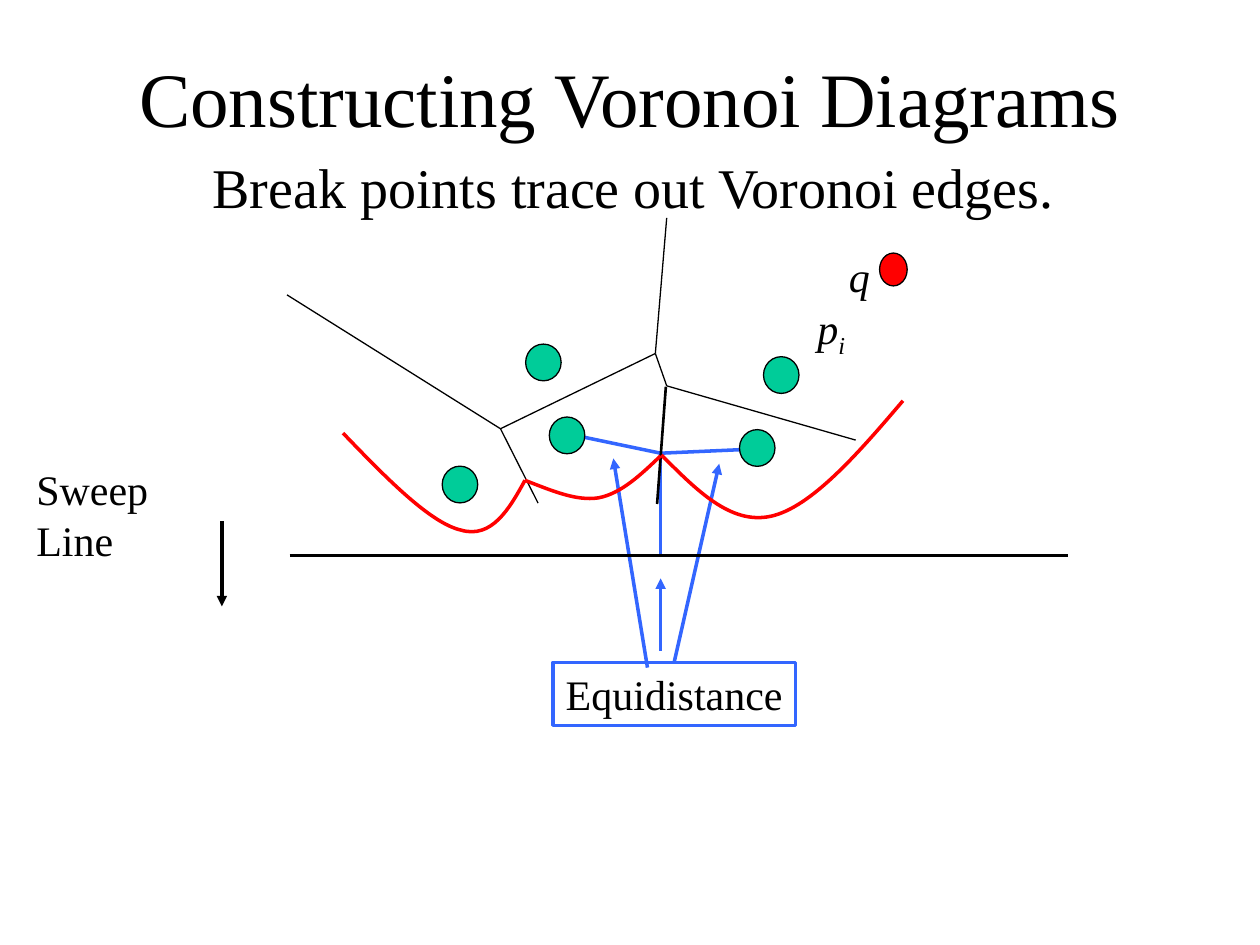
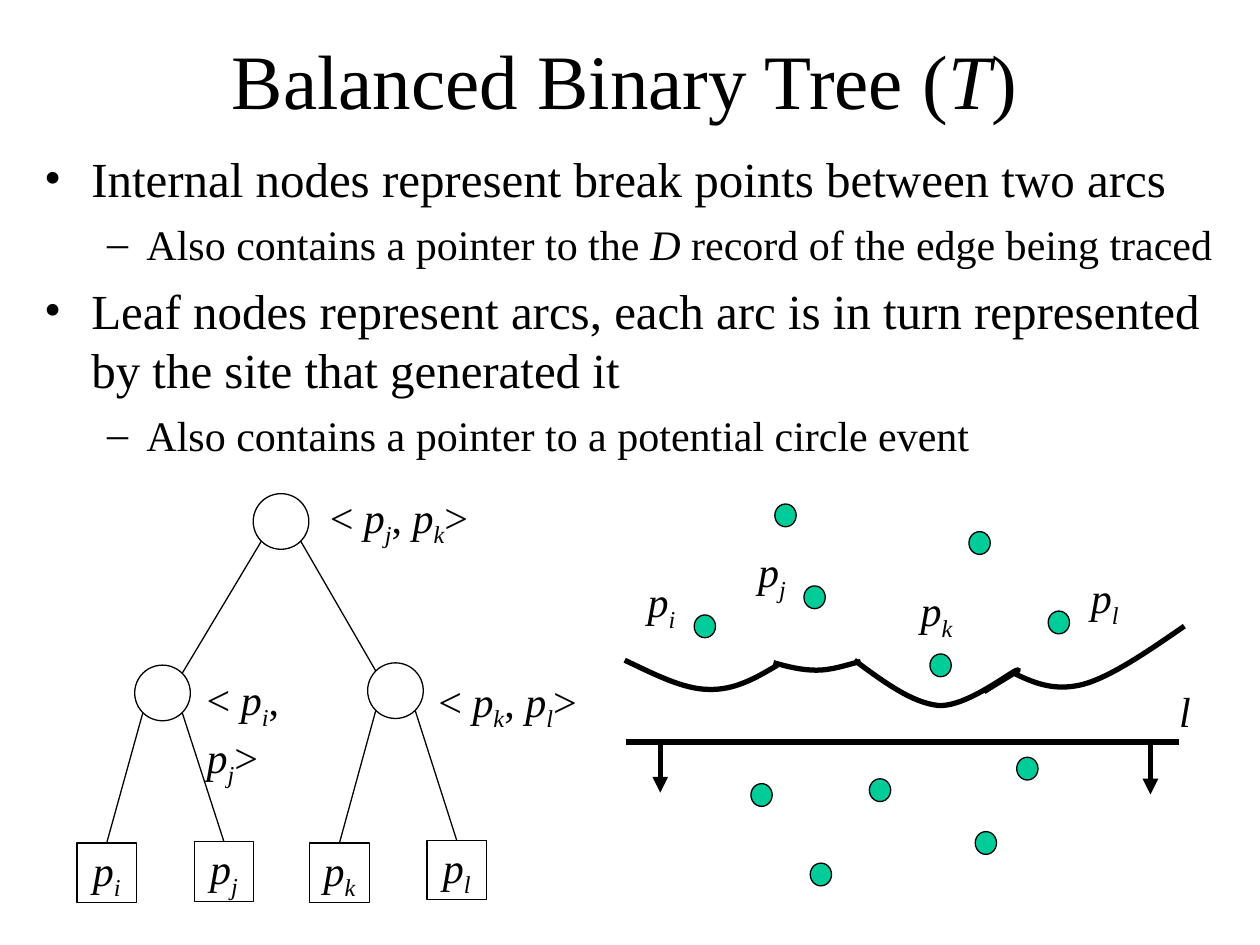
from lxml.etree import SubElement
from pptx import Presentation
from pptx.dml.color import RGBColor
from pptx.enum.shapes import MSO_CONNECTOR, MSO_SHAPE
from pptx.enum.text import MSO_ANCHOR, MSO_AUTO_SIZE, PP_ALIGN
from pptx.oxml.ns import qn
from pptx.util import Pt

FONT = "Times New Roman"
COLORS = {"ink": "000000", "blue": "3366FF", "site": "00CC99", "red": "FF0000"}
COLORS = {name: RGBColor.from_string(value) for name, value in COLORS.items()}


def write_spans(para, size, *spans):
    """Add (text, style) runs; the style is "", "italic" or "sub" (italic subscript)."""
    for text, style in spans:
        span = para.add_run()
        span.text = text
        span.font.name = FONT
        span.font.size = Pt(size)
        span.font.color.rgb = COLORS["ink"]
        span.font.italic = style != ""
        if style == "sub":
            span.font._element.set("baseline", "-25000")


def draw_line(page, start, end, color="ink", width=0.75, arrow=False):
    line = page.shapes.add_connector(
        MSO_CONNECTOR.STRAIGHT, *(Pt(value) for value in (*start, *end)))
    line.line.color.rgb = COLORS[color]
    line.line.width = Pt(width)
    if arrow:
        SubElement(line.line._get_or_add_ln(), qn("a:tailEnd"), type="triangle")
    SubElement(line._element.spPr, qn("a:effectLst"))
    return line


deck = Presentation()
deck.slide_width, deck.slide_height = Pt(720), Pt(540)
voronoi, tree = [deck.slides.add_slide(deck.slide_layouts[1]) for _ in range(2)]

# Titles and body text
titles = [
    (voronoi, 54, 10, [("Constructing Voronoi Diagrams", "")]),
    (tree, 51, 0, [("Balanced Binary Tree (", ""), ("T", "italic"), (")", "")]),
]
for page, left, top, spans in titles:
    title = page.shapes.title
    title.left, title.top, title.width, title.height = Pt(left), Pt(top), Pt(612), Pt(90)
    title.text_frame.auto_size = MSO_AUTO_SIZE.NONE
    title.text_frame.vertical_anchor = MSO_ANCHOR.MIDDLE
    title.text_frame.paragraphs[0].alignment = PP_ALIGN.CENTER
    write_spans(title.text_frame.paragraphs[0], 44, *spans)

# Each level: size, left margin, first-line indent, space before, bullet
levels = {
    "caption": (32, 27, -27, 0, None),
    "point": (28, 27, -27, 7, "•"),
    "detail": (24, 58.5, -22.5, 6, "–"),
}
bodies = [
    (voronoi, (56, 83.5, 612, 53.5), [
        ("caption", [("Break points trace out Voronoi edges.", "")]),
    ]),
    (tree, (18, 81.5, 689, 324), [
        ("point", [("Internal nodes represent break points between two arcs", "")]),
        ("detail", [("Also contains a pointer to the ", ""), ("D ", "italic"),
                    ("record of the edge being traced", "")]),
        ("point", [("Leaf nodes represent arcs, each arc is in turn represented "
                    "by the site that generated it", "")]),
        ("detail", [("Also contains a pointer to a potential circle event", "")]),
    ]),
]
for page, frame, items in bodies:
    body = page.placeholders[1]
    body.left, body.top, body.width, body.height = (Pt(value) for value in frame)
    body.text_frame.auto_size = MSO_AUTO_SIZE.NONE
    for index, (level, spans) in enumerate(items):
        size, margin, indent, before, bullet = levels[level]
        para = body.text_frame.add_paragraph() if index else body.text_frame.paragraphs[0]
        para.level = 1 if level == "detail" else 0
        properties = para._p.get_or_add_pPr()
        properties.set("marL", str(Pt(margin)))
        properties.set("indent", str(Pt(indent)))
        if bullet:
            SubElement(properties, qn("a:buFont"), typeface=FONT)
            SubElement(properties, qn("a:buChar"), char=bullet)
        else:
            SubElement(properties, qn("a:buNone"))
            para.alignment = PP_ALIGN.CENTER
        para.space_before = Pt(before if index else 0)
        write_spans(para, size, *spans)

# Voronoi page: equal distances from a break point
break_point = (377.5, 259)
for end in [(322.5, 247.5), (434, 256.5), (377.5, 317)]:
    draw_line(voronoi, end, break_point, "blue", 2)
equidistance = voronoi.shapes.add_shape(
    MSO_SHAPE.RECTANGLE, Pt(316), Pt(378.5), Pt(138.5), Pt(36))
equidistance.shadow.inherit = False
equidistance.fill.background()
equidistance.line.color.rgb = COLORS["blue"]
equidistance.line.width = Pt(2)
equidistance.text_frame.word_wrap = False
equidistance.text_frame.paragraphs[0].alignment = PP_ALIGN.CENTER
write_spans(equidistance.text_frame.paragraphs[0], 24, ("Equidistance", ""))
draw_line(voronoi, (370, 381.5), (350.5, 262), "blue", 2, arrow=True)
draw_line(voronoi, (377.5, 372), (377.5, 330.5), "blue", 2, arrow=True)
pointer = draw_line(voronoi, (385, 378.5), (411, 265), "blue", 2, arrow=True)
pointer.begin_connect(equidistance, 0)

# Voronoi page: sweep line and diagram edges
draw_line(voronoi, (165.5, 317.5), (610.5, 317.5), width=2)
draw_line(voronoi, (126.8, 298), (126.8, 346.5), width=2, arrow=True)
left_vertex, top_vertex, right_vertex = (286, 245), (374.5, 202), (381, 220.5)
voronoi_edges = [
    (right_vertex, top_vertex), ((164, 168.5), left_vertex),
    (left_vertex, (307.5, 287.5)), (left_vertex, top_vertex),
    (right_vertex, (489, 251.5)), (top_vertex, (381, 124.5)),
]
for start, end in voronoi_edges:
    draw_line(voronoi, start, end)
draw_line(voronoi, (375.5, 288), (380.5, 221), width=1.5)

# Tree page: nodes, leaves and branches
node_size, leaf_size = 31.8, 34
reach = node_size / 2 * 0.707  # branches meet a node on its diagonals
root, left_node, right_node = (160.6, 298), (92.9, 396), (226, 394.7)
for x, y in (root, left_node, right_node):
    node = tree.shapes.add_shape(
        MSO_SHAPE.OVAL, Pt(x - node_size / 2), Pt(y - node_size / 2),
        Pt(node_size), Pt(node_size))
    node.shadow.inherit = False
    node.fill.background()
    node.line.color.rgb = COLORS["ink"]
    node.line.width = Pt(0.75)
for (x, y), side in [(left_node, -1), (right_node, 1)]:
    draw_line(tree, (root[0] + side * reach, root[1] + reach),
              (x - side * reach, y - reach))
leaves = [("i", 44, 481.7, left_node, -1), ("j", 111, 481, left_node, 1),
          ("k", 177, 481.7, right_node, -1), ("l", 244, 480.2, right_node, 1)]
for letter, left, top, (x, y), side in leaves:
    leaf = tree.shapes.add_shape(
        MSO_SHAPE.RECTANGLE, Pt(left), Pt(top), Pt(leaf_size), Pt(leaf_size))
    leaf.shadow.inherit = False
    leaf.fill.background()
    leaf.line.color.rgb = COLORS["ink"]
    leaf.line.width = Pt(0.75)
    leaf.text_frame.word_wrap = False
    leaf.text_frame.vertical_anchor = MSO_ANCHOR.MIDDLE
    leaf.text_frame.paragraphs[0].alignment = PP_ALIGN.CENTER
    write_spans(leaf.text_frame.paragraphs[0], 24, ("p", "italic"), (letter, "sub"))
    branch = draw_line(tree, (x + side * reach, y + reach), (left + leaf_size / 2, top))
    branch.end_connect(leaf, 0)

# Tree page: sweep line
draw_line(tree, (358, 424), (674, 424), width=3)
draw_line(tree, (377.3, 425), (377.3, 453), width=3, arrow=True)
draw_line(tree, (657.4, 426), (657.4, 454), width=3, arrow=True)

# Sites on both pages
site_groups = [
    (voronoi, "site", 20.3, 21, [
        (422.6, 245.5), (436.3, 203.8), (252.7, 266.4), (313.9, 238.3), (300.4, 196.6)]),
    (voronoi, "red", 15.8, 18.8, [(502.6, 144.6)]),
    (tree, "site", 12.2, 13, [
        (429.1, 447.8), (496.8, 445), (557.3, 475.2), (581, 432.7), (463, 493.2),
        (531.4, 373.7), (599, 349.2), (553.7, 303.8), (459.4, 334.8), (442.8, 288),
        (396.7, 351.4)]),
]
for page, color, width, height, corners in site_groups:
    for left, top in corners:
        site = page.shapes.add_shape(
            MSO_SHAPE.OVAL, Pt(left), Pt(top), Pt(width), Pt(height))
        site.shadow.inherit = False
        site.fill.solid()
        site.fill.fore_color.rgb = COLORS[color]
        site.line.color.rgb = COLORS["ink"]
        site.line.width = Pt(0.75)

# Labels on both pages
labels = [
    (voronoi, 13.7, 261.4, 128, 36, [("Sweep Line", "")]),
    (voronoi, 478, 139.7, 26, 36, [("q", "italic")]),
    (tree, 666.7, 388, 21, 36, [("l", "italic")]),
]
for page, letter, left, top, width in [
        (voronoi, "i", 460, 169.2, 30.2), (tree, "i", 363, 325.4, 30.2),
        (tree, "j", 426.2, 308.2, 30.2), (tree, "k", 519, 330.5, 32.4),
        (tree, "l", 616.3, 323.3, 30.2)]:
    labels.append((page, left, top, width, 40.3, [("p", "italic"), (letter, "sub")]))
for first, second, left, top, width in [
        ("j", "k", 181.4, 277.2, 93.6), ("i", "j", 111, 381.6, 90.7),
        ("k", "l", 243.4, 382.3, 93.6)]:
    labels.append((tree, left, top, width, 40.3, [
        ("< ", ""), ("p", "italic"), (first, "sub"), (", ", ""),
        ("p", "italic"), (second, "sub"), (">", "")]))
for page, left, top, width, height, spans in labels:
    box = page.shapes.add_textbox(Pt(left), Pt(top), Pt(width), Pt(height))
    box.text_frame.word_wrap = False
    box.text_frame.auto_size = MSO_AUTO_SIZE.SHAPE_TO_FIT_TEXT
    write_spans(box.text_frame.paragraphs[0], 24, *spans)

# Beach line arcs: a start point, then three Bézier points per segment
arc_groups = [
    (voronoi, "red", 2, [
        [(378, 260), (398, 280), (417.5, 300), (440.5, 295),
         (463.5, 290), (490.5, 259), (516, 229)],
        [(196, 247.5), (221, 273.5), (246, 299), (263.5, 303),
         (281, 308), (291, 291), (300, 274.5)],
        [(300, 274.5), (314.5, 280), (329, 286.5), (342, 284.5),
         (355, 282), (366, 271.5), (377.5, 260.5)],
    ]),
    (tree, "ink", 3, [
        [(357, 377.3), (373.7, 385.2), (390.2, 393.8), (404.6, 394),
         (419.8, 394.6), (432, 387.4), (444.2, 380.2)],
        [(442, 378.7), (450, 381), (458, 383), (466.6, 383),
         (475.2, 383), (483, 380.2), (491.8, 378)],
        [(488.2, 377.3), (504.7, 389.5), (521.3, 401.8), (536.4, 403.2),
         (552.2, 404), (576.7, 384.5), (581, 383),
         (585.4, 381.6), (573.8, 388), (562.3, 395.3)],
        [(580.3, 385.2), (591, 390.2), (602.6, 395.3), (619.2, 391),
         (635, 386.6), (656, 372.2), (676.8, 357.8)],
    ]),
]
for page, color, width, arcs in arc_groups:
    for points in arcs:
        start, *rest = [(Pt(x), Pt(y)) for x, y in points]
        builder = page.shapes.build_freeform(*start)
        builder.add_line_segments(rest, close=False)
        arc = builder.convert_to_shape()
        segments = iter(list(arc._element.iter(qn("a:lnTo"))))
        for curve, *others in zip(segments, segments, segments):
            curve.tag = qn("a:cubicBezTo")
            for other in others:
                curve.append(other[0])
                other.getparent().remove(other)
        arc.shadow.inherit = False
        arc.fill.background()
        arc.line.color.rgb = COLORS[color]
        arc.line.width = Pt(width)

deck.save("out.pptx")
